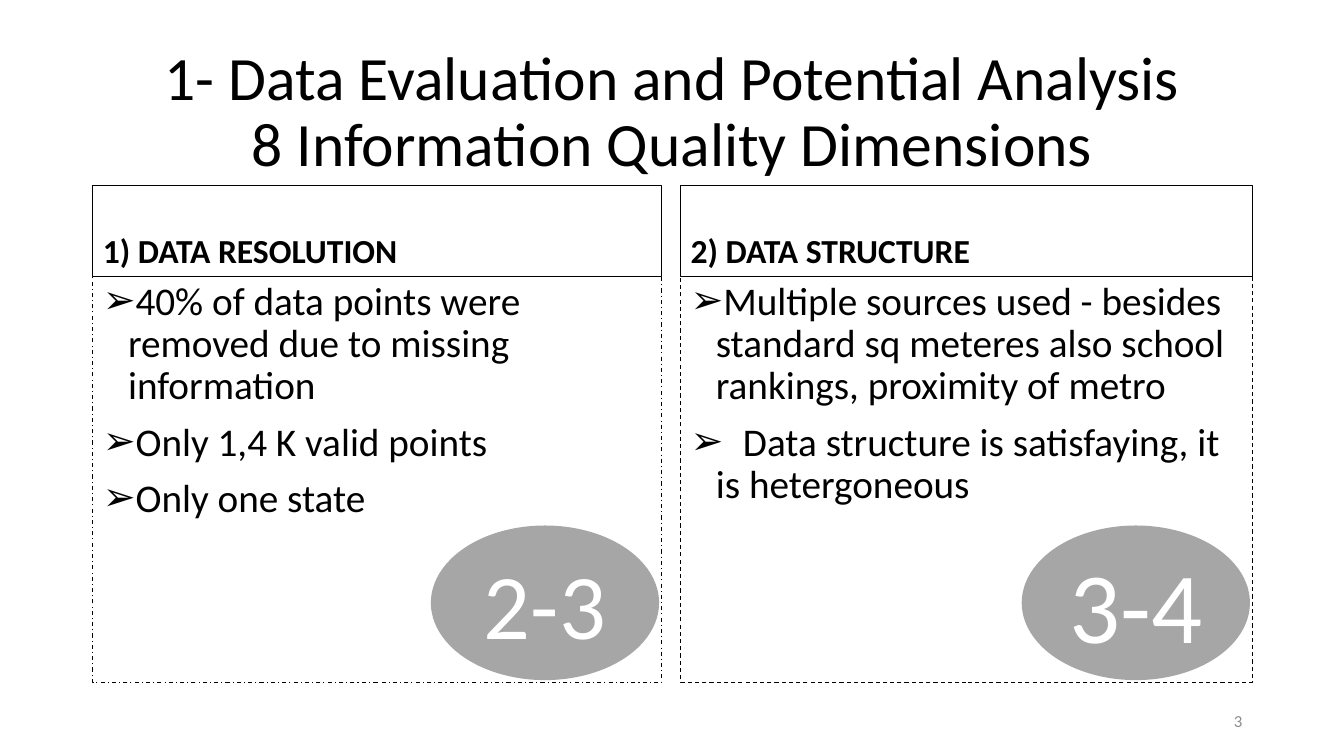
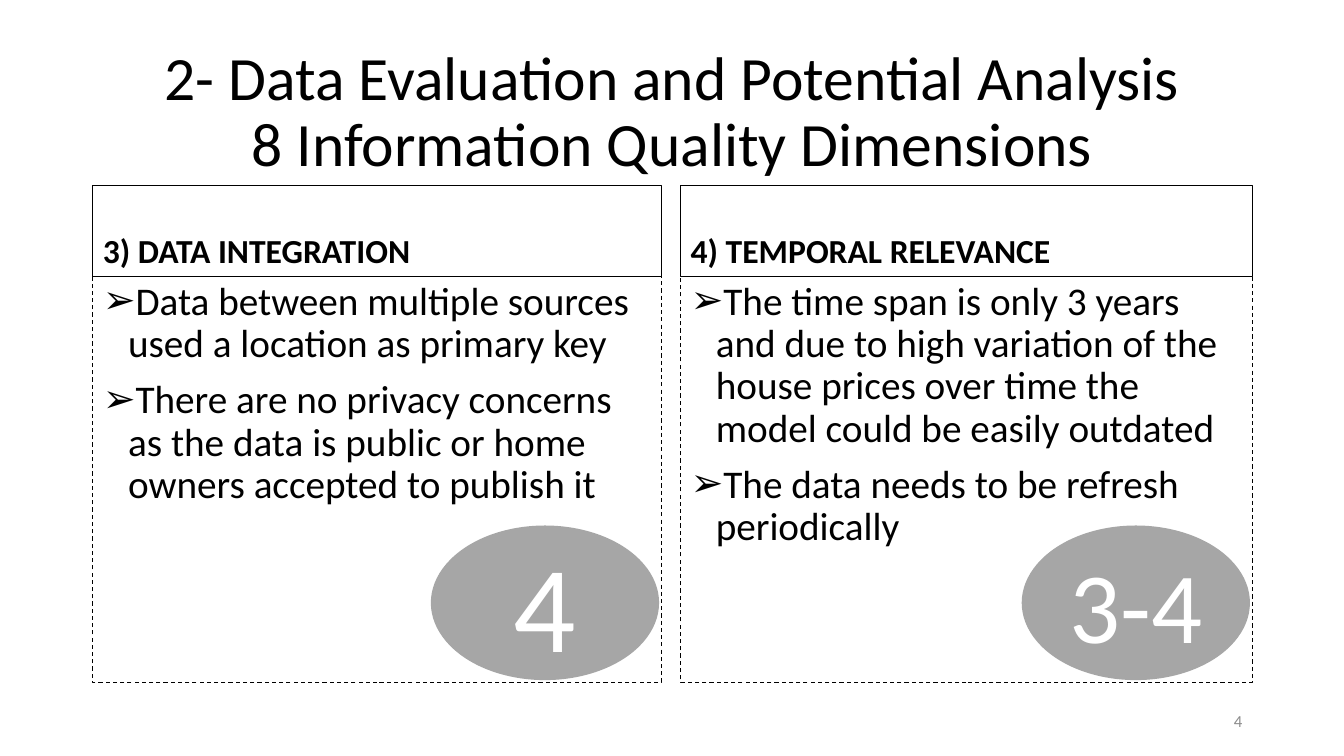
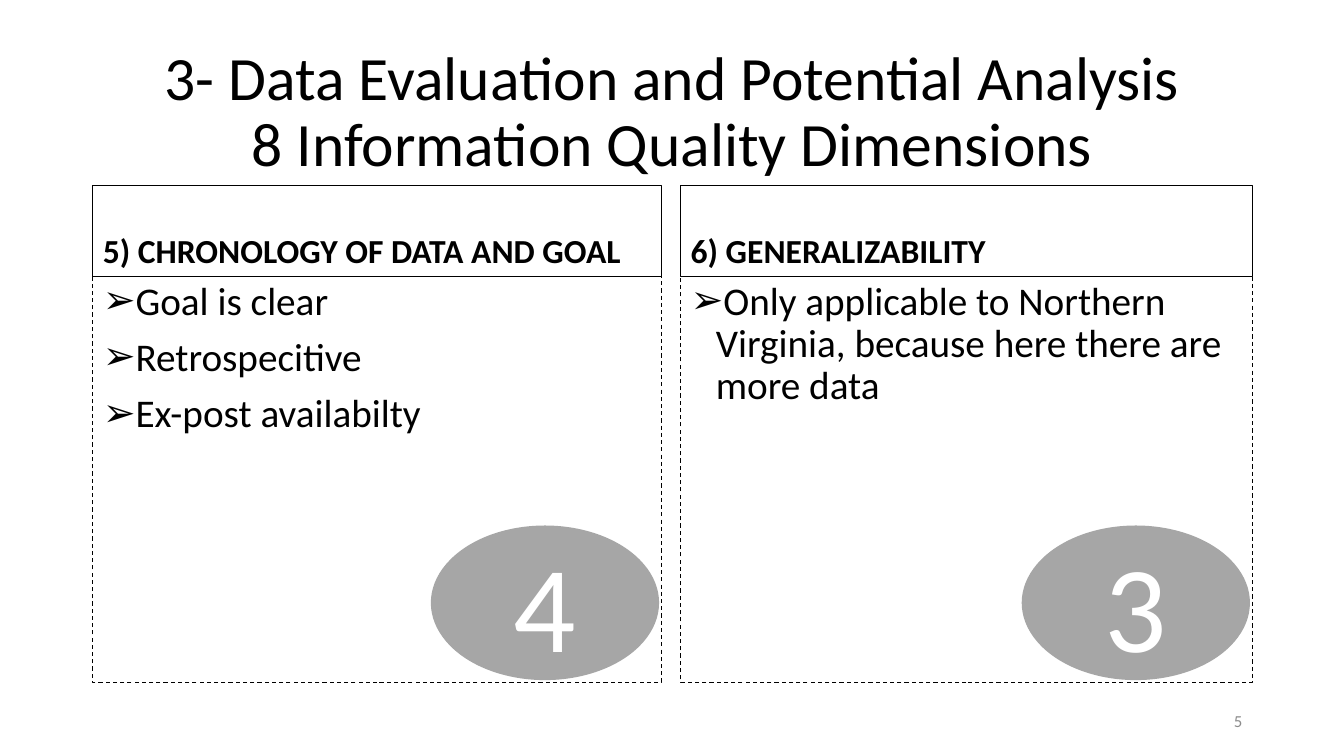
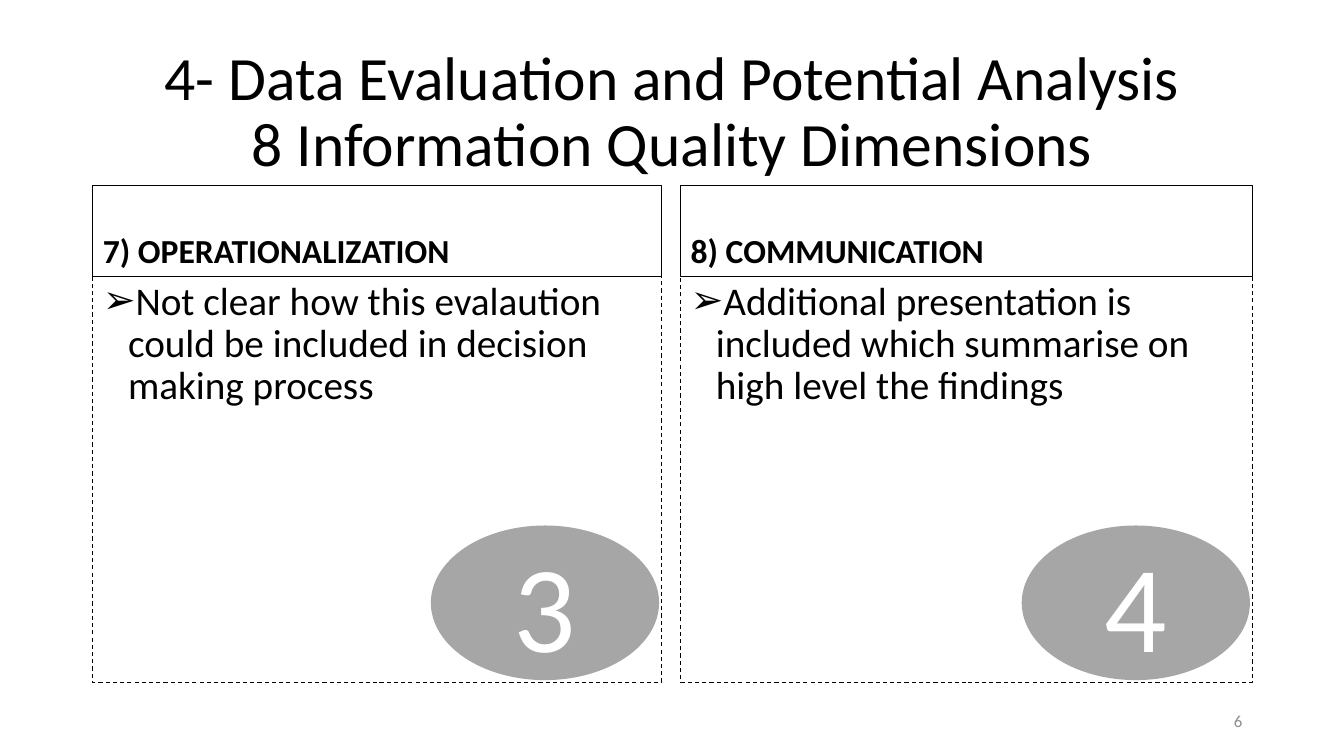
from pptx import Presentation
from pptx.dml.color import RGBColor
from pptx.enum.dml import MSO_LINE as Dash
from pptx.enum.shapes import MSO_SHAPE as Shape
from pptx.enum.text import MSO_ANCHOR as Anchor, MSO_AUTO_SIZE as Fit, PP_ALIGN as Align
from pptx.oxml.ns import qn
from pptx.util import Inches, Pt
from lxml.etree import SubElement

# Shared look
FONT = "Calibri"
BLACK = RGBColor(0x00, 0x00, 0x00)
WHITE = RGBColor(0xFF, 0xFF, 0xFF)
GREY = RGBColor(0xA6, 0xA6, 0xA6)
DIM = RGBColor(0x8C, 0x8C, 0x8C)

# Columns: left edge, width, left edge of the score
COLS = [(0.92, 5.64, 4.28), (6.75, 5.67, 10.14)]
HEAD_TOP, HEAD_H = 1.84, 0.9
LIST_TOP, LIST_H = HEAD_TOP + HEAD_H, 4.03
FIRST = 3  # number of the first slide

# Each slide: two columns of heading, points, score, score size, border
SLIDES = [
    [("1) DATA RESOLUTION",
      ["40% of data points were removed due to missing information",
       "Only 1,4 K valid points",
       "Only one state"], "2-3", 66, Dash.DASH_DOT),
     ("2) DATA STRUCTURE",
      ["Multiple sources used - besides standard sq meteres also school "
       "rankings, proximity of metro",
       "\u2002Data structure is satisfaying, it is hetergoneous"],
      "3-4", 72, Dash.DASH)],
    [("3) DATA INTEGRATION",
      ["Data between multiple sources used a location as primary key",
       "There are no privacy concerns as the data is public or home owners "
       "accepted to publish it"], "4", 88, Dash.DASH),
     ("4) TEMPORAL RELEVANCE",
      ["The time span is only 3 years and due to high variation of the house "
       "prices over time the model could be easily outdated",
       "The data needs to be refresh periodically"], "3-4", 72, Dash.DASH)],
    [("5) CHRONOLOGY OF DATA AND GOAL",
      ["Goal is clear", "Retrospecitive", "Ex-post availabilty"],
      "4", 88, Dash.DASH),
     ("6) GENERALIZABILITY",
      ["Only applicable to Northern Virginia, because here there are more data"],
      "3", 88, Dash.DASH)],
    [("7) OPERATIONALIZATION",
      ["Not clear how this evalaution could be included in decision making "
       "process"], "3", 88, Dash.DASH),
     ("8) COMMUNICATION",
      ["Additional presentation is included which summarise on high level "
       "the findings"], "4", 88, Dash.DASH)],
]


def place(shape, x, y, w, h):
    shape.left, shape.top = Inches(x), Inches(y)
    shape.width, shape.height = Inches(w), Inches(h)


def write(shape, text, size, color=BLACK, bold=False, align=Align.LEFT,
          anchor=Anchor.MIDDLE, lead=1.0, gap=0, mark=None):
    """Fill a shape with evenly styled paragraphs, one for each line."""
    frame = shape.text_frame
    frame.text = text
    frame.word_wrap = True
    frame.auto_size = Fit.NONE
    frame.vertical_anchor = anchor
    for par in frame.paragraphs:
        if mark:
            bullet(par, mark)
        par.alignment = align
        par.line_spacing = lead
        par.space_before = Pt(gap)
        font = par.font
        font.name, font.size, font.bold = FONT, Pt(size), bold
        font.color.rgb = color


def bullet(par, mark):
    props = par._p.get_or_add_pPr()
    props.set("marL", str(Inches(0.25)))
    props.set("indent", str(-Inches(0.25)))
    SubElement(props, qn("a:buFont")).set("typeface", "Arial")
    SubElement(props, qn("a:buChar")).set("char", mark)


def border(shape, dash=None):
    shape.line.color.rgb = BLACK
    shape.line.width = Pt(0.75)
    if dash:
        shape.line.dash_style = dash


def add_title(slide, index):
    title = slide.shapes.title
    place(title, 0.92, 0.4, 11.5, 1.45)
    write(title, f"{index}- Data Evaluation and Potential Analysis\v"
          "8 Information Quality Dimensions", 44, align=Align.CENTER, lead=0.9)


def add_panel(head, body, col, name, points, dash):
    x, width, _ = col
    place(head, x, HEAD_TOP, width, HEAD_H)
    write(head, name, 24, bold=True, anchor=Anchor.BOTTOM, lead=0.9, gap=10)
    border(head)
    place(body, x, LIST_TOP, width, LIST_H)
    write(body, "\n".join(points), 28, anchor=Anchor.TOP, lead=0.9, gap=10,
          mark="\u27a2")
    border(body, dash)


def add_number(slide, number):
    box = slide.shapes.add_textbox(Inches(9.42), Inches(6.95), Inches(3), Inches(0.4))
    write(box, str(number), 12, DIM, align=Align.RIGHT)


def add_score(slide, x, score, size):
    oval = slide.shapes.add_shape(Shape.OVAL, Inches(x), Inches(5.22),
                                  Inches(2.25), Inches(1.52))
    oval.shadow.inherit = False
    oval.fill.solid()
    oval.fill.fore_color.rgb = GREY
    oval.line.color.rgb = GREY
    oval.line.width = Pt(1)
    write(oval, score, size, WHITE, align=Align.CENTER)


def main():
    prs = Presentation()
    prs.slide_width, prs.slide_height = Inches(13.33), Inches(7.5)
    layout = prs.slide_layouts.get_by_name("Comparison")
    for index, panels in enumerate(SLIDES):
        slide = prs.slides.add_slide(layout)
        add_title(slide, index + 1)
        # Headings and lists alternate after the title
        holders = list(slide.placeholders)[1:]
        pairs = zip(holders[::2], holders[1::2])
        for (head, body), col, panel in zip(pairs, COLS, panels):
            name, points, _, _, dash = panel
            add_panel(head, body, col, name, points, dash)
        add_number(slide, index + FIRST)
        for (_, _, x), (_, _, score, size, _) in zip(COLS, panels):
            add_score(slide, x, score, size)
    prs.save("out.pptx")


main()
